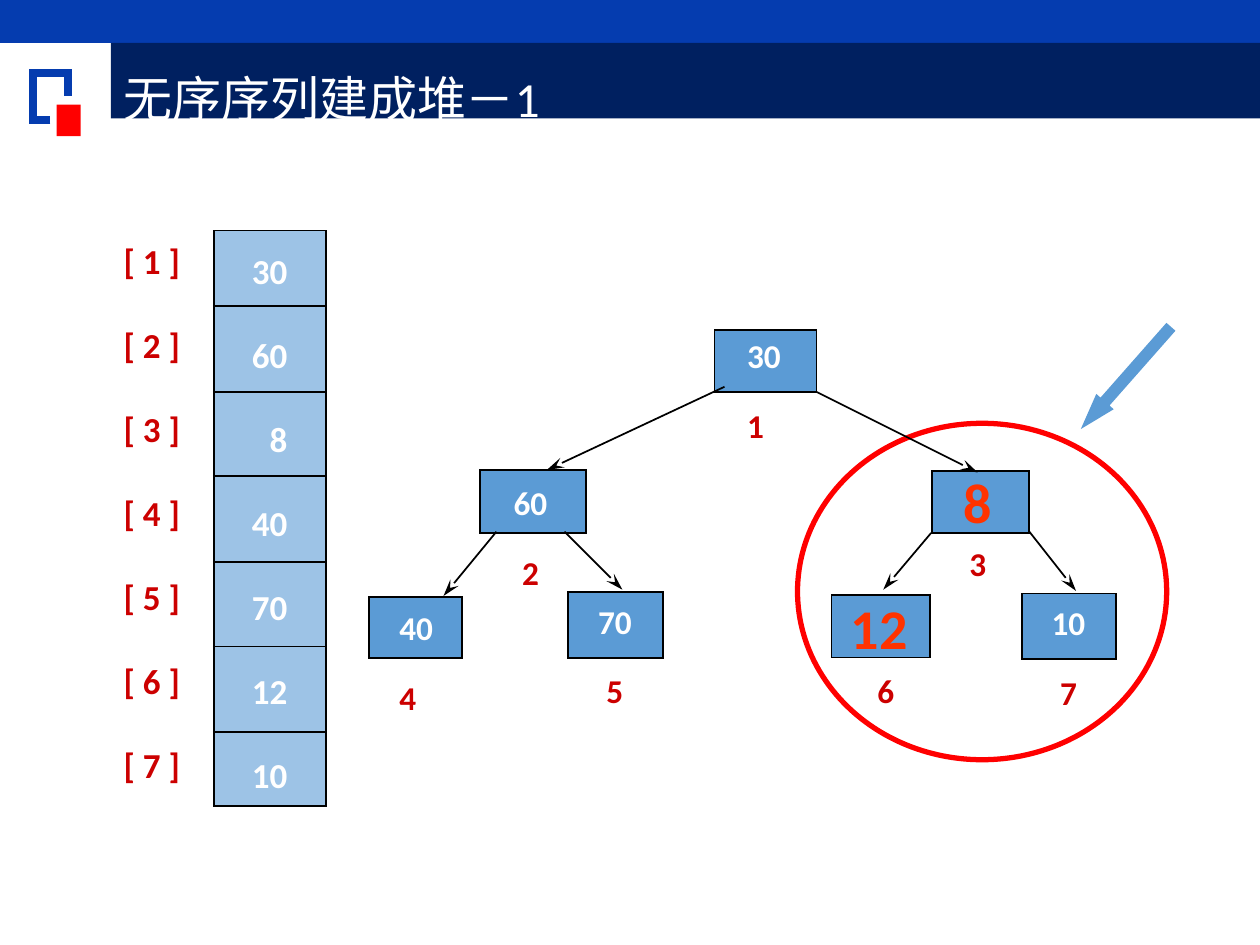
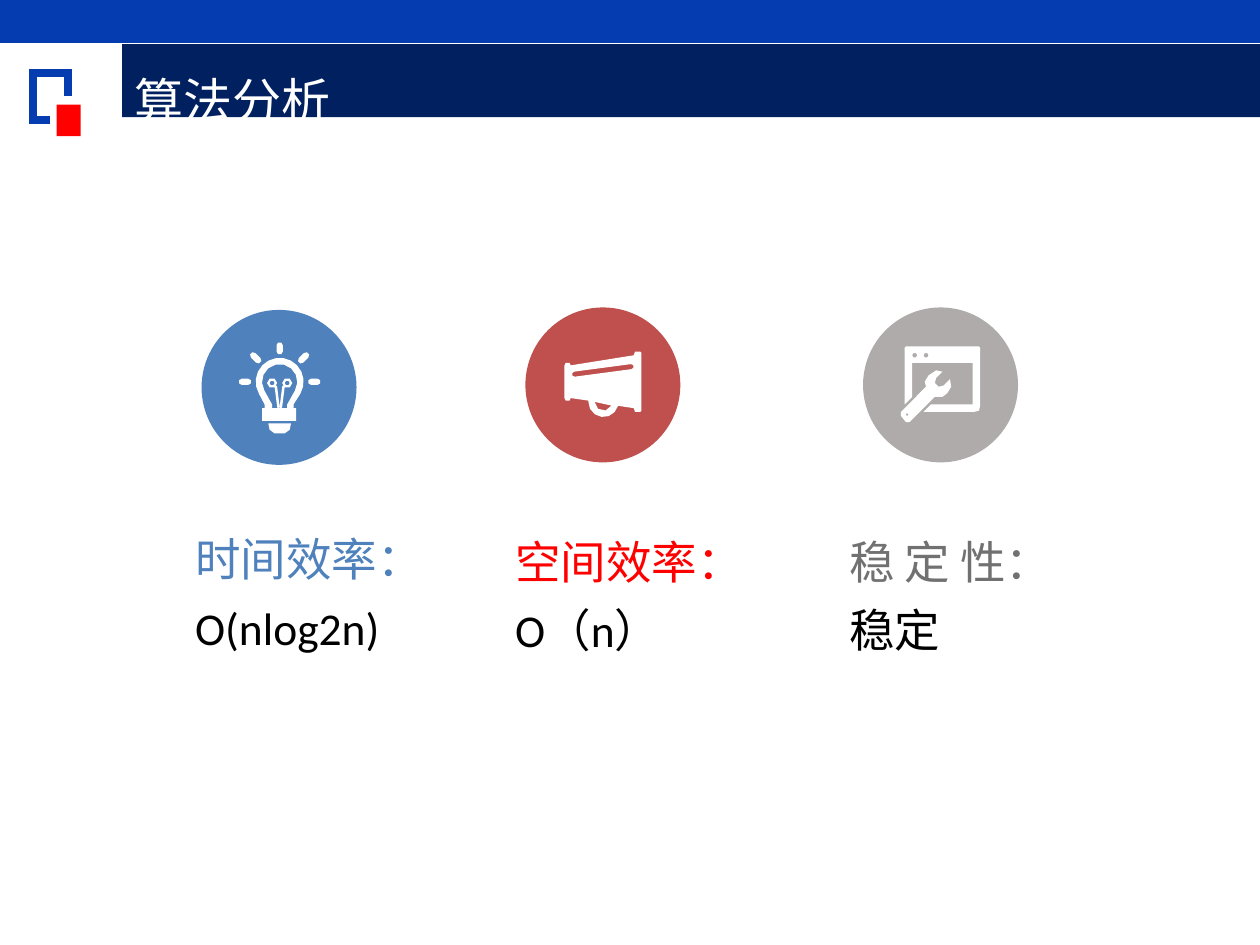
from dataclasses import dataclass
from math import atan2, ceil, cos, degrees, radians, sin

from lxml.etree import SubElement
from pptx import Presentation
from pptx.dml.color import RGBColor
from pptx.enum.shapes import MSO_CONNECTOR as Connector, MSO_SHAPE as Preset
from pptx.enum.text import MSO_ANCHOR as Anchor, MSO_AUTO_SIZE as AutoSize, PP_ALIGN as Align
from pptx.oxml.ns import qn
from pptx.util import Pt

PX = 9144  # EMU per px, 100 px to the inch
TITLE_ONLY = 5


@dataclass(frozen=True)
class Theme:
    font: str = "Calibri"
    band: str = "053CAF"
    title_band: str = "002060"
    red: str = "FF0000"
    black: str = "000000"
    white: str = "FFFFFF"
    array_fill: str = "9DC3E6"
    node_fill: str = "5B9BD5"
    index: str = "CC0000"
    swapped: str = "FF3300"
    time: str = "4F81BD"
    space: str = "C0504D"
    stability: str = "AFABAB"
    stability_text: str = "717171"
    title_size: int = 28
    summary_size: int = 26
    array_size: int = 20
    node_size: int = 19
    swapped_size: int = 32


def rgb(value):
    return RGBColor.from_string(value)


def arc(x, y, radius, start=0, end=360):
    """Points along an arc; angles are in degrees, clockwise from the right."""
    sweep = abs(end - start)
    steps = max(ceil(sweep / 60), round(radius * sweep / 360))
    angles = [radians(start + (end - start) * step / steps) for step in range(steps + 1)]
    return [(x + radius * cos(angle), y + radius * sin(angle)) for angle in angles]


def capsule(x1, y1, x2, y2, radius):
    """Outline of a thick stroke with round ends."""
    heading = degrees(atan2(y2 - y1, x2 - x1))
    return (arc(x1, y1, radius, heading + 90, heading + 270)
            + arc(x2, y2, radius, heading - 90, heading + 90))


class Deck:
    def __init__(self, theme):
        self.theme = theme
        self.presentation = Presentation()
        self.presentation.slide_width = 1000 * PX
        self.presentation.slide_height = 750 * PX
        self.layout = self.presentation.slide_layouts[TITLE_ONLY]
        self.slide = None

    def add_slide(self, title, box):
        self.slide = self.presentation.slides.add_slide(self.layout)
        shape = self.slide.shapes.title
        shape.left, shape.top, shape.width, shape.height = [length * PX for length in box]
        self.paint(shape, self.theme.title_band)
        frame = shape.text_frame
        frame.text = title
        frame.auto_size = AutoSize.NONE
        frame.vertical_anchor = Anchor.TOP
        frame.margin_top = 9 * PX
        paragraph = frame.paragraphs[0]
        paragraph.alignment = Align.LEFT
        paragraph.line_spacing = 1.25
        self.format_run(paragraph.runs[0], self.theme.title_size, self.theme.white)

    def paint(self, shape, fill=None, line=None, width=1):
        if fill:
            shape.fill.solid()
            shape.fill.fore_color.rgb = rgb(fill)
        else:
            shape.fill.background()
        if line:
            shape.line.color.rgb = rgb(line)
            shape.line.width = Pt(width)
            SubElement(shape.element.spPr.find(qn("a:ln")), qn("a:miter"), lim="800000")
        else:
            shape.line.fill.background()

    def shape(self, preset, box, fill, line=None, width=1):
        shape = self.slide.shapes.add_shape(preset, *[length * PX for length in box])
        shape.shadow.inherit = False
        self.paint(shape, fill, line, width)
        return shape

    def outline(self, contours, fill=None, line=None, width=1, close=True):
        """Draw all contours as one freeform; an inner contour makes a hole."""
        builder = None
        for contour in contours:
            points = [(x * PX, y * PX) for x, y in contour]
            if builder is None:
                builder = self.slide.shapes.build_freeform(*points[0])
            else:
                builder.move_to(*points[0])
            builder.add_line_segments(points[1:], close=close)
        shape = builder.convert_to_shape()
        shape.shadow.inherit = False
        self.paint(shape, fill, line, width)
        return shape

    def line(self, start, end, arrow=False):
        points = [length * PX for length in (*start, *end)]
        connector = self.slide.shapes.add_connector(Connector.STRAIGHT, *points)
        connector.line.color.rgb = rgb(self.theme.black)
        connector.line.width = Pt(1)
        properties = connector.element.spPr
        if arrow:
            SubElement(properties.find(qn("a:ln")), qn("a:tailEnd"), type="stealth", len="lg")
        SubElement(properties, qn("a:effectLst"))

    def text_frame(self, box, margins, wrap=False):
        frame = self.slide.shapes.add_textbox(*[length * PX for length in box]).text_frame
        frame.word_wrap = wrap
        frame.margin_left = frame.margin_right = margins[0] * PX
        frame.margin_top = frame.margin_bottom = margins[1] * PX
        return frame

    def text(self, box, lines, size, colors, align=Align.CENTER, gap=0, margins=(8, 4)):
        """Add a bold text box; colors holds one colour for each line."""
        frame = self.text_frame(box, margins)
        for position, (line, color) in enumerate(zip(lines, colors)):
            paragraph = frame.add_paragraph() if position else frame.paragraphs[0]
            paragraph.text = line
            paragraph.alignment = align
            if position:
                paragraph.space_before = Pt(gap)
            self.format_run(paragraph.runs[0], size, color, bold=True)

    def format_run(self, run, size, color, bold=False):
        run.font.name = self.theme.font
        run.font.size = Pt(size)
        run.font.bold = bold
        run.font.color.rgb = rgb(color)

    def decorate_layout(self):
        """Draw the top band and corner mark, then move them to the shared layout."""
        theme = self.theme
        decorations = [
            self.shape(Preset.RECTANGLE, (0, 0, 1000, 34), theme.band),
            self.outline([[(40, 95), (26, 95), (26, 58), (54, 58), (54, 76)]],
                         line=theme.band, width=4.5, close=False),
            self.shape(Preset.RECTANGLE, (45, 83, 19, 25), theme.red),
        ]
        for decoration in decorations:
            self.layout.shapes.element.append(decoration.element)

    def array(self, values):
        theme = self.theme
        self.shape(Preset.RECTANGLE, (170, 183, 89, 457), theme.array_fill, theme.black)
        for row in range(len(values) - 1):
            y = round(243 + row * 67.6)
            self.line((169, y), (259, y))
        style = {"size": theme.array_size, "gap": 24, "margins": (10, 5)}
        labels = [f"[ {number} ]" for number in range(1, len(values) + 1)]
        self.text((87, 185, 67, 448), labels, colors=[theme.index] * len(values), **style)
        self.text((190, 193, 48, 448), values, colors=[theme.white] * len(values),
                  align=Align.RIGHT, **style)

    def node(self, box, value, index, center, top, align=Align.CENTER):
        theme = self.theme
        self.shape(Preset.RECTANGLE, box, theme.node_fill, theme.black)
        self.text((center - 22, top, 44, 96), [value, index], theme.node_size,
                  [theme.white, theme.index], align=align, gap=17)

    def swapped_node(self, box, value, index, center, top, index_center, index_top):
        theme = self.theme
        self.shape(Preset.RECTANGLE, box, theme.node_fill, theme.black)
        self.text((index_center - 24, index_top, 48, 40), [index], theme.node_size, [theme.index])
        self.text((center - 37, top, 74, 62), [value], theme.swapped_size, [theme.swapped])

    def summary(self, box, heading, answer, color):
        """Add a heading whose answer wraps to the next line of the narrow box."""
        paragraph = self.text_frame(box, (10, 5), wrap=True).paragraphs[0]
        paragraph.line_spacing = 1.25
        for words, run_color in ((heading, color), (answer, self.theme.black)):
            run = paragraph.add_run()
            run.text = words
            self.format_run(run, self.theme.summary_size, run_color)

    def icon(self, left, top, color, contours):
        self.shape(Preset.OVAL, (left, top, 123, 123), color)
        self.outline(contours, self.theme.white)


def bulb():
    rays = [(222, 274, 222, 279), (201, 282, 205, 286), (243, 282, 239, 286),
            (192, 303, 197, 303), (247, 303, 252, 303)]
    wires = [(219, 307, 221, 323), (225, 307, 223, 323)]
    return [
        *[capsule(*ray, 2.5) for ray in rays],
        arc(222, 303, 19, 150, 390) + [(233, 321), (233, 324), (210, 324), (210, 321)],
        arc(222, 303, 14, 150, 390) + [(228, 321), (228, 324), (216, 324), (216, 321)],
        *[arc(x, 304, radius) for x in (216, 228) for radius in (4, 2)],
        *[capsule(*wire, 1) for wire in wires],
        [(208, 324), (235, 324), (235, 334), (208, 334)],
        [(213, 336), (231, 336), (230, 341), (226, 344), (218, 344), (214, 341)],
    ]


def megaphone():
    return [
        [(508, 279), (504, 279), (503, 282), (453, 290), (452, 288), (449, 288), (448, 290),
         (448, 316), (449, 318), (452, 318), (453, 316), (467, 318)]
        + arc(479, 319, 12, 180, 15)
        + [(503, 324), (504, 327), (508, 327), (509, 326), (509, 280)],
        arc(479, 319, 7, 180, 25),
        capsule(456, 297, 501, 291, 2),
    ]


def window_and_wrench():
    return [
        [(719, 275), (777, 275), (778, 276), (778, 322), (777, 326), (773, 327), (733, 327),
         (739, 321), (772, 321), (772, 288), (724, 288), (724, 315), (718, 321), (718, 276)],
        *[arc(x, 282, 2) for x in (726, 735)],
        [(752, 312), (755, 307), (754, 301), (749, 306), (745, 307), (742, 304), (743, 300),
         (748, 295), (743, 294), (737, 298), (734, 303), (735, 307), (715, 327), (715, 330),
         (719, 335), (722, 335), (742, 315), (748, 315)],
        arc(720, 329, 1),
    ]


def heap_slide(deck):
    theme = deck.theme
    deck.add_slide("无序序列建成堆－1", (88, 34, 913, 60))
    deck.decorate_layout()
    deck.shape(Preset.OVAL, (633, 336, 293, 267), theme.white, theme.red, 3)
    deck.array(["30", "60", "8", "40", "70", "12", "10"])
    pointer = deck.shape(Preset.LEFT_ARROW, (841, 291, 106, 17),
                         theme.node_fill, theme.node_fill, 0.75)
    pointer.rotation = 311.4
    pointer.adjustments[1] = 1.58

    deck.node((567, 262, 81, 49), "30", "1", 607, 262, Align.LEFT)
    deck.node((381, 373, 84, 50), "60", "2", 421, 379)
    deck.node((293, 474, 74, 48), "40", "4", 331, 478, Align.LEFT)
    deck.node((451, 470, 75, 52), "70", "5", 488, 473)
    deck.node((811, 471, 75, 52), "10", "7", 848, 474)
    deck.swapped_node((740, 374, 77, 49), "8", "3", 776, 367, 776, 427)
    deck.swapped_node((660, 472, 78, 50), "12", "6", 698, 467, 703, 528)

    branches = [
        ((575, 307), (434, 373)), ((648, 311), (776, 375)),
        ((394, 422), (352, 473)), ((448, 422), (494, 468)),
        ((739, 423), (701, 468)), ((817, 422), (854, 469)),
    ]
    for parent, child in branches:
        deck.line(parent, child, arrow=True)


def analysis_slide(deck):
    theme = deck.theme
    deck.add_slide("算法分析", (97, 35, 904, 58))
    deck.icon(160, 246, theme.time, bulb())
    deck.icon(417, 244, theme.space, megaphone())
    deck.icon(685, 244, theme.stability, window_and_wrench())
    deck.summary((145, 406, 193, 119), "时间效率：", "O(nlog2n)", theme.time)
    deck.summary((399, 408, 182, 119), "空间效率：", "O（n）", theme.red)
    deck.summary((664, 408, 173, 119), "稳 定 性：", "稳定", theme.stability_text)


def main():
    deck = Deck(Theme())
    heap_slide(deck)
    analysis_slide(deck)
    deck.presentation.save("out.pptx")


if __name__ == "__main__":
    main()
